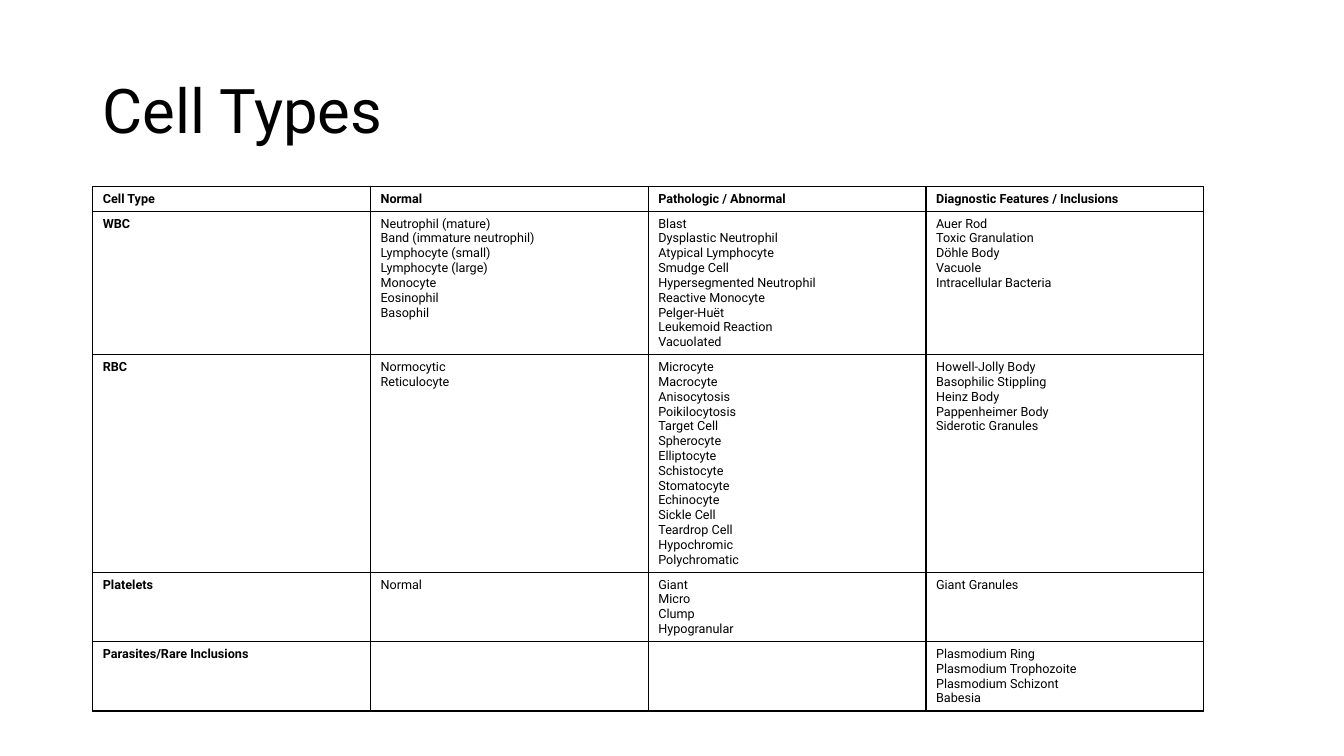
"""Build a slide with a table of blood cell types."""
from dataclasses import dataclass

from lxml.etree import SubElement
from pptx import Presentation
from pptx.dml.color import RGBColor
from pptx.enum.text import MSO_ANCHOR, PP_ALIGN
from pptx.oxml.ns import qn
from pptx.util import Inches, Pt


@dataclass(frozen=True)
class Theme:
    font: str = "Roboto"
    ink: str = "000000"
    head: int = 44
    body: int = 9
    line: int = 1


THEME = Theme()
LEFT, TOP, WIDTH = 0.92, 1.85, 2.755
PAD, STEP = 0.1, 0.147

ROWS = [
    [["Cell Type"], ["Normal"], ["Pathologic / Abnormal"],
     ["Diagnostic Features / Inclusions"]],
    [["WBC"],
     ["Neutrophil (mature)", "Band (immature neutrophil)",
      "Lymphocyte (small)", "Lymphocyte (large)", "Monocyte",
      "Eosinophil", "Basophil"],
     ["Blast", "Dysplastic Neutrophil", "Atypical Lymphocyte",
      "Smudge Cell", "Hypersegmented Neutrophil", "Reactive Monocyte",
      "Pelger-Huët", "Leukemoid Reaction", "Vacuolated"],
     ["Auer Rod", "Toxic Granulation", "Döhle Body", "Vacuole",
      "Intracellular Bacteria"]],
    [["RBC"],
     ["Normocytic", "Reticulocyte"],
     ["Microcyte", "Macrocyte", "Anisocytosis", "Poikilocytosis",
      "Target Cell", "Spherocyte", "Elliptocyte", "Schistocyte",
      "Stomatocyte", "Echinocyte", "Sickle Cell", "Teardrop Cell",
      "Hypochromic", "Polychromatic"],
     ["Howell-Jolly Body", "Basophilic Stippling", "Heinz Body",
      "Pappenheimer Body", "Siderotic Granules"]],
    [["Platelets"], ["Normal"],
     ["Giant", "Micro", "Clump", "Hypogranular"],
     ["Giant Granules"]],
    [["Parasites/Rare Inclusions"], [], [],
     ["Plasmodium Ring", "Plasmodium Trophozoite",
      "Plasmodium Schizont", "Babesia"]],
]


def style(frame, size, bold=False):
    """Format every run of a text frame."""
    for para in frame.paragraphs:
        for run in para.runs:
            font = run.font
            font.name, font.size, font.bold = THEME.font, Pt(size), bold
            font.color.rgb = RGBColor.from_string(THEME.ink)


def add_title(slide, text):
    """Place and format the slide title."""
    title = slide.shapes.title
    title.left, title.top = Inches(LEFT), Inches(0.4)
    title.width, title.height = Inches(11.5), Inches(1.45)
    frame = title.text_frame
    frame.text = text
    frame.vertical_anchor = MSO_ANCHOR.MIDDLE
    para = frame.paragraphs[0]
    para.alignment, para.line_spacing = PP_ALIGN.LEFT, 0.9
    style(frame, THEME.head)


def add_edges(cell):
    """Draw a thin line on all four sides of a cell."""
    props = cell._tc.get_or_add_tcPr()
    for side in ("lnL", "lnR", "lnT", "lnB"):
        edge = SubElement(props, qn(f"a:{side}"), w=str(Pt(THEME.line)))
        fill = SubElement(edge, qn("a:solidFill"))
        SubElement(fill, qn("a:srgbClr"), val=THEME.ink)


def fill_cell(cell, lines, bold):
    """Write the lines of a cell and set its look."""
    add_edges(cell)
    cell.fill.background()
    cell.text_frame.text = "\n".join(lines)
    style(cell.text_frame, THEME.body, bold)


def add_grid(slide, rows):
    """Add the table, each row as high as its longest cell."""
    highs = [PAD + STEP * max(map(len, row)) for row in rows]
    count = len(rows[0])
    grid = slide.shapes.add_table(
        len(rows), count, Inches(LEFT), Inches(TOP),
        Inches(WIDTH * count), Inches(sum(highs))).table
    grid.first_row = grid.horz_banding = False
    for col in grid.columns:
        col.width = Inches(WIDTH)
    for i, row in enumerate(rows):
        grid.rows[i].height = Inches(highs[i])
        for j, lines in enumerate(row):
            fill_cell(grid.cell(i, j), lines, i == 0 or j == 0)


def main():
    """Build and save the deck."""
    deck = Presentation()
    deck.slide_width, deck.slide_height = Inches(13.33), Inches(7.5)
    slide = deck.slides.add_slide(deck.slide_layouts[5])
    add_title(slide, "Cell Types")
    add_grid(slide, ROWS)
    deck.save("out.pptx")


if __name__ == "__main__":
    main()
